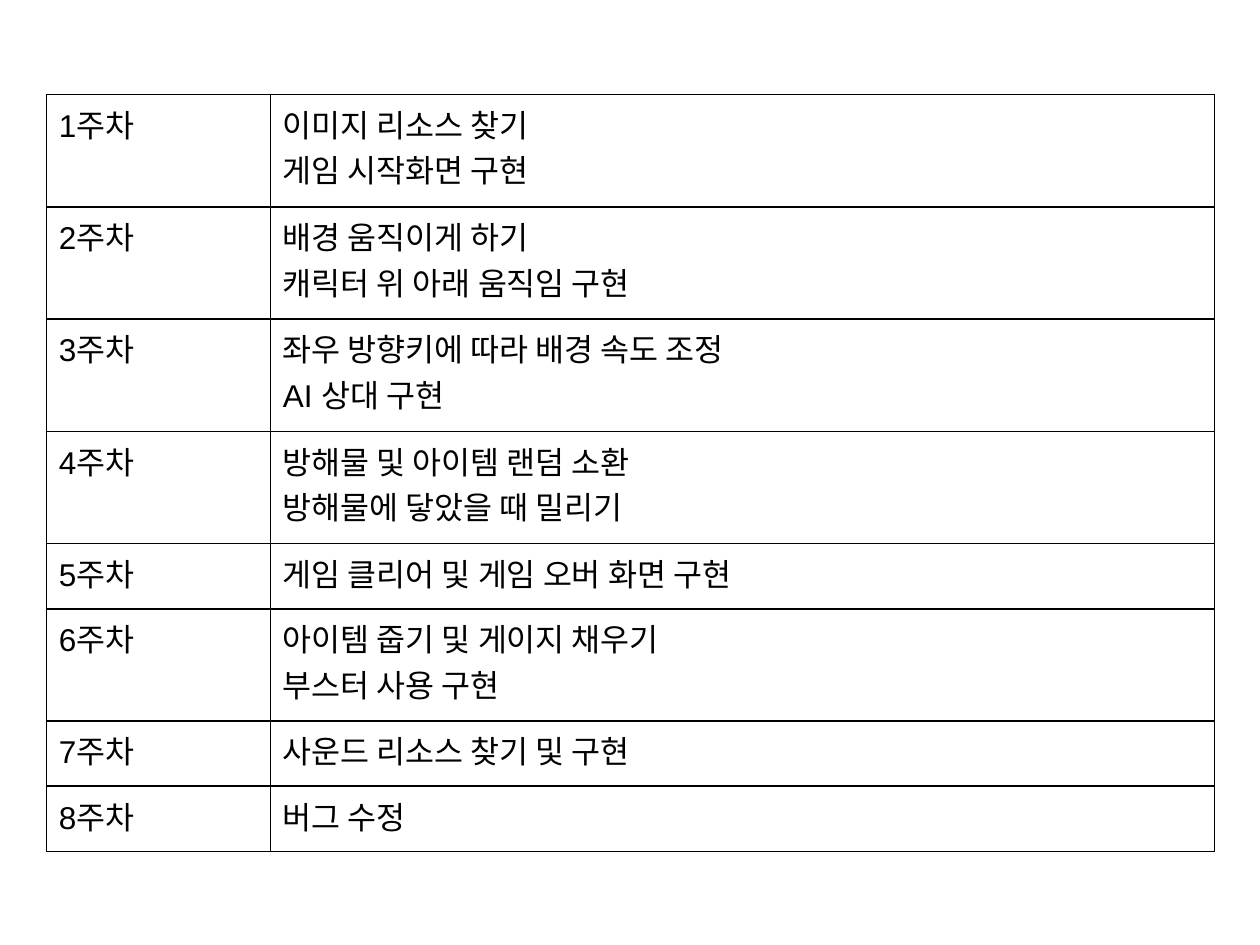
from dataclasses import dataclass
from typing import NamedTuple

from lxml.etree import SubElement
from pptx import Presentation
from pptx.dml.color import RGBColor
from pptx.oxml.ns import qn
from pptx.util import Pt


@dataclass(frozen=True)
class Theme:
    font: str = "Arial"
    size: Pt = Pt(18)
    text: RGBColor = RGBColor(0, 0, 0)
    border: str = "000000"
    border_width: Pt = Pt(1)


class Week(NamedTuple):
    number: int
    tasks: tuple[str, ...]


THEME = Theme()
LEFT, TOP = Pt(26.5), Pt(54)
COL_WIDTHS = (Pt(128), Pt(539.5))
ROW_HEIGHTS = {1: Pt(37.2), 2: Pt(64.2)}  # by number of tasks

WEEKS = [
    Week(1, ("이미지 리소스 찾기", "게임 시작화면 구현")),
    Week(2, ("배경 움직이게 하기", "캐릭터 위 아래 움직임 구현")),
    Week(3, ("좌우 방향키에 따라 배경 속도 조정", "AI 상대 구현")),
    Week(4, ("방해물 및 아이템 랜덤 소환", "방해물에 닿았을 때 밀리기")),
    Week(5, ("게임 클리어 및 게임 오버 화면 구현",)),
    Week(6, ("아이템 줍기 및 게이지 채우기", "부스터 사용 구현")),
    Week(7, ("사운드 리소스 찾기 및 구현",)),
    Week(8, ("버그 수정",)),
]


def add_borders(cell) -> None:
    """Outline all four sides; call before any fill, which must follow the lines."""
    props = cell._tc.get_or_add_tcPr()
    for side in ("lnL", "lnR", "lnT", "lnB"):
        line = SubElement(props, qn(f"a:{side}"), w=str(THEME.border_width))
        fill = SubElement(line, qn("a:solidFill"))
        SubElement(fill, qn("a:srgbClr"), val=THEME.border)


def fill_cell(cell, text: str) -> None:
    add_borders(cell)
    cell.fill.background()
    cell.text_frame.text = text
    for p in cell.text_frame.paragraphs:
        for r in p.runs:
            r.font.name = THEME.font
            r.font.size = THEME.size
            r.font.bold = False
            r.font.color.rgb = THEME.text


def add_schedule(s, weeks: list[Week]) -> None:
    heights = [ROW_HEIGHTS[len(week.tasks)] for week in weeks]
    table = s.shapes.add_table(
        len(weeks), len(COL_WIDTHS), LEFT, TOP, sum(COL_WIDTHS), sum(heights)
    ).table
    table.first_row = table.horz_banding = False
    for column, width in zip(table.columns, COL_WIDTHS):
        column.width = width
    for row, week, height in zip(table.rows, weeks, heights):
        row.height = height
        fill_cell(row.cells[0], f"{week.number}주차")
        fill_cell(row.cells[1], "\n".join(week.tasks))


def main() -> None:
    prs = Presentation()
    prs.slide_width, prs.slide_height = Pt(720), Pt(540)
    s = prs.slides.add_slide(prs.slide_layouts[6])
    add_schedule(s, WEEKS)
    prs.save("out.pptx")


if __name__ == "__main__":
    main()
